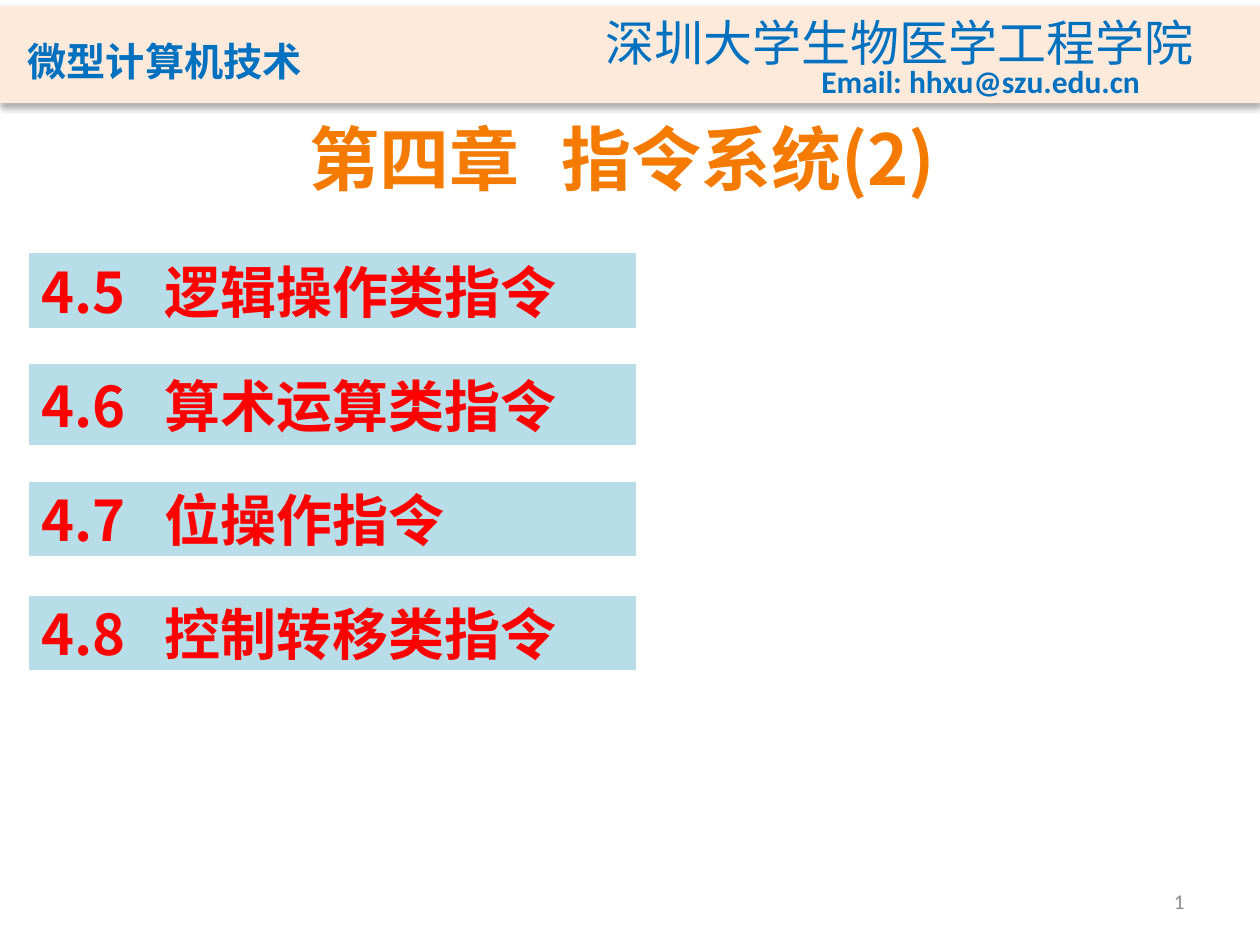
from dataclasses import dataclass

from lxml.etree import SubElement as Sub
from pptx import Presentation
from pptx.dml.color import RGBColor as RGB
from pptx.enum.shapes import MSO_SHAPE as SHAPE
from pptx.enum.text import MSO_ANCHOR as ANCHOR, MSO_AUTO_SIZE as FIT, PP_ALIGN as ALIGN
from pptx.oxml.ns import qn
from pptx.util import Inches, Pt

COLS, ROWS = 100, 75


@dataclass(frozen=True)
class Theme:
    band: str = "FDEADA"
    section: str = "B7DEE8"
    blue: str = "0070C0"
    orange: str = "F47A00"
    red: str = "FF0000"
    grey: str = "8C8C8C"
    sans: str = "Noto Sans CJK SC"
    sans_jp: str = "Noto Sans CJK JP"
    latin: str = "Calibri"
    title: float = 40
    heading: float = 32
    school: float = 28
    course: float = 22.4
    email: float = 18
    number: float = 12


class Deck:
    """Holds the theme and the current slide; boxes are (col, row, cols, rows)."""

    def __init__(self, prs, theme):
        self.prs, self.theme = prs, theme
        self.slide = prs.slides.add_slide(prs.slide_layouts[5])

    def place(self, box):
        w, h = self.prs.slide_width, self.prs.slide_height
        return [round(v * full / n) for v, full, n in zip(box, (w, h, w, h), (COLS, ROWS) * 2)]

    def style(self, font, size, color, name, bold=False):
        for key, value in {"size": Pt(size), "bold": bold, "name": name}.items():
            setattr(font, key, value)
        font.color.rgb = RGB.from_string(color)

    def fill_text(self, sp, text, size, color, name, bold=False, frame=None, para=None, tab=None):
        tf = sp.text_frame
        for key, value in {"auto_size": FIT.NONE, "word_wrap": True,
                           "vertical_anchor": ANCHOR.TOP, **(frame or {})}.items():
            setattr(tf, key, value)
        p = tf.paragraphs[0]
        if tab:
            tabs = Sub(p._p.get_or_add_pPr(), qn("a:tabLst"))
            Sub(tabs, qn("a:tab"), pos=str(Inches(tab)), algn="l")
        for key, value in {"alignment": ALIGN.LEFT, **(para or {})}.items():
            setattr(p, key, value)
        r = p.add_run()
        r.text = text
        self.style(r.font, size, color, name, bold)
        Sub(r._r.get_or_add_rPr(), qn("a:ea"), typeface=name)
        return r

    def shape(self, kind, box, fill):
        sp = self.slide.shapes.add_shape(kind, *self.place(box))
        sp.shadow.inherit = False
        sp.fill.solid()
        sp.fill.fore_color.rgb = RGB.from_string(fill)
        sp.line.fill.background()
        return sp

    def band(self, box):
        sp = self.shape(SHAPE.RECTANGLE, box, self.theme.band)
        effects = sp._element.spPr.find(qn("a:effectLst"))
        shadow = Sub(effects, qn("a:outerShdw"), blurRad=str(Pt(3.5)),
                     dist=str(Pt(2.2)), dir="5400000", rotWithShape="0")
        color = Sub(shadow, qn("a:srgbClr"), val="000000")
        Sub(color, qn("a:alpha"), val="32000")

    def text(self, box, text, size, color, name, **kw):
        sp = self.slide.shapes.add_textbox(*self.place(box))
        return self.fill_text(sp, text, size, color, name, **kw)

    def title(self, box, text):
        t, sp = self.theme, self.slide.shapes.title
        for key, value in zip(("left", "top", "width", "height"), self.place(box)):
            setattr(sp, key, value)
        self.fill_text(sp, text, t.title, t.orange, t.sans, bold=True,
                       para={"alignment": ALIGN.CENTER, "line_spacing": 1.05})

    def section(self, box, text):
        t = self.theme
        sp = self.shape(SHAPE.ACTION_BUTTON_CUSTOM, box, t.section)
        self.fill_text(sp, text, t.heading, t.red, t.sans, bold=True, tab=0.98,
                       frame={"vertical_anchor": ANCHOR.MIDDLE, "margin_top": 0},
                       para={"line_spacing": 1.1})

    def slide_number(self, box):
        t = self.theme
        r = self.text(box, "1", t.number, t.grey, t.latin,
                      frame={"vertical_anchor": ANCHOR.MIDDLE}, para={"alignment": ALIGN.RIGHT})
        # Turn the run into a live slide-number field
        r._r.tag = qn("a:fld")
        r._r.set("id", "{B6F15528-21DE-4FAA-801E-634DDDAF4B2B}")
        r._r.set("type", "slidenum")


def main():
    prs = Presentation()
    prs.slide_width, prs.slide_height = Inches(10), Inches(7.5)
    t = Theme()
    deck = Deck(prs, t)

    # Header band
    deck.band((0, 0.5, COLS, 7.7))
    deck.text((1.2, 1.6, 33.9, 5.6), "微型计算机技术", t.course, t.blue, t.sans_jp,
              bold=True, frame={"vertical_anchor": ANCHOR.BOTTOM})
    deck.text((47.1, 0.5, 49.1, 5.7), "深圳大学生物医学工程学院", t.school, t.blue, t.sans,
              frame={"word_wrap": False})
    deck.text((64.2, 4.4, 27.5, 4), "Email: hhxu@szu.edu.cn", t.email, t.blue, t.latin,
              bold=True, frame={"word_wrap": False})

    # Chapter title
    deck.title((-1.2, 8.3, 101.2, 10), "第四章\t指令系统(2)")

    # Section list, centred on evenly spaced rows
    sections = [("4.5\t逻辑操作类指令", 5.9), ("4.6\t算术运算类指令", 6.4),
                ("4.7\t位操作指令", 5.9), ("4.8\t控制转移类指令", 5.9)]
    for i, (text, height) in enumerate(sections):
        middle = 23.05 + 9.07 * i
        deck.section((2.3, middle - height / 2, 48.2, height), text)

    # Footer
    deck.slide_number((71.7, 69.5, 23.3, 4))

    prs.save("out.pptx")


if __name__ == "__main__":
    main()
